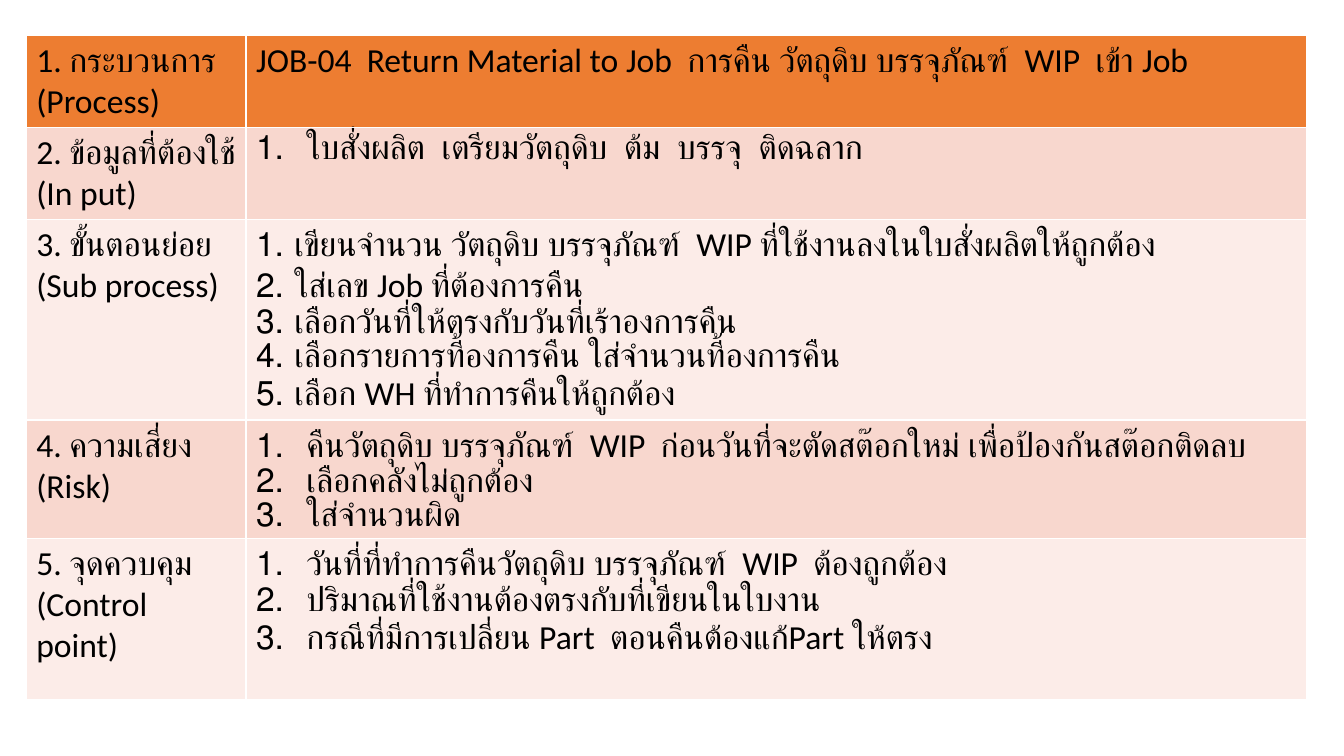
from pptx import Presentation, util as u
from pptx.dml.color import RGBColor
from pptx.oxml.ns import qn
from lxml import etree

PX = 9144
COLORS = {"header": "ED7D31", "odd": "F8D7CE", "even": "FCECE8", "border": "FFFFFF", "text": "000000"}
COLUMN_WIDTHS = [218, 1052]
ROW_HEIGHTS = [90, 91, 199, 117, 160]
WIDE, NARROW = 50, 38
PROCESS = [
    (["1. กระบวนการ (Process)"],
     ["JOB-04  Return Material to Job  การคืน วัตถุดิบ บรรจุภัณฑ์  WIP  เข้า Job"], 0),
    (["2. ข้อมูลที่ต้องใช้", "(In put)"],
     ["ใบสั่งผลิต  เตรียมวัตถุดิบ  ต้ม  บรรจุ  ติดฉลาก"], WIDE),
    (["3. ขั้นตอนย่อย", "(Sub process)"],
     ["เขียนจำนวน วัตถุดิบ บรรจุภัณฑ์  WIP ที่ใช้งานลงในใบสั่งผลิตให้ถูกต้อง",
      "ใส่เลข Job ที่ต้องการคืน",
      "เลือกวันที่ให้ตรงกับวันที่เร้าองการคืน",
      "เลือกรายการที้องการคืน ใส่จำนวนที้องการคืน",
      "เลือก WH ที่ทำการคืนให้ถูกต้อง"], NARROW),
    (["4. ความเสี่ยง", "(Risk)"],
     ["คืนวัตถุดิบ บรรจุภัณฑ์  WIP  ก่อนวันที่จะตัดสต๊อกใหม่ เพื่อป้องกันสต๊อกติดลบ",
      "เลือกคลังไม่ถูกต้อง",
      "ใส่จำนวนผิด"], WIDE),
    (["5. จุดควบคุม", "(Control point)"],
     ["วันที่ที่ทำการคืนวัตถุดิบ บรรจุภัณฑ์  WIP  ต้องถูกต้อง",
      "ปริมาณที่ใช้งานต้องตรงกับที่เขียนในใบงาน",
      "กรณีที่มีการเปลี่ยน Part  ตอนคืนต้องแก้Part ให้ตรง"], WIDE),
]


def px(length):
    """Turn pixels into EMU."""
    return u.Emu(length * PX)


def number_paragraph(paragraph, indent):
    """Give a paragraph an automatic number and a hanging indent."""
    properties = paragraph._p.get_or_add_pPr()
    properties.set("marL", str(px(indent)))
    properties.set("indent", str(px(-indent)))
    etree.SubElement(properties, qn("a:buFont"), typeface="+mj-lt")
    etree.SubElement(properties, qn("a:buAutoNum"), type="arabicPeriod")


def write_text(frame, lines, size=24, font="Calibri", color="text", indent=0):
    """Write lines as paragraphs, numbered when an indent is given."""
    for index, line in enumerate(lines):
        paragraph = frame.add_paragraph() if index else frame.paragraphs[0]
        if indent:
            number_paragraph(paragraph, indent)
        run = paragraph.add_run()
        run.text = line
        run.font.size = u.Pt(size)
        run.font.name = font
        run.font.bold = False
        run.font.color.rgb = RGBColor.from_string(COLORS[color])


def format_cell(cell, fill):
    """Draw the four borders of a cell and fill it."""
    properties = cell._tc.get_or_add_tcPr()
    for side in ("lnL", "lnR", "lnT", "lnB"):
        border = etree.SubElement(properties, qn(f"a:{side}"), w=str(u.Pt(1)))
        solid = etree.SubElement(border, qn("a:solidFill"))
        etree.SubElement(solid, qn("a:srgbClr"), val=COLORS["border"])
    cell.fill.solid()
    cell.fill.fore_color.rgb = RGBColor.from_string(COLORS[fill])


def add_process_table(slide, left, top):
    """Add the table of process steps."""
    table = slide.shapes.add_table(
        len(PROCESS), len(COLUMN_WIDTHS), px(left), px(top),
        px(sum(COLUMN_WIDTHS)), px(sum(ROW_HEIGHTS))).table
    table.horz_banding = False
    for column, width in zip(table.columns, COLUMN_WIDTHS):
        column.width = px(width)
    for index, (heading, details, indent) in enumerate(PROCESS):
        table.rows[index].height = px(ROW_HEIGHTS[index])
        fill = "header" if index == 0 else "odd" if index % 2 else "even"
        for column, (lines, hanging) in enumerate([(heading, 0), (details, indent)]):
            cell = table.cell(index, column)
            format_cell(cell, fill)
            write_text(cell.text_frame, lines, indent=hanging)


def main():
    """Build and save the slide."""
    deck = Presentation()
    deck.slide_width, deck.slide_height = px(1333), px(750)
    slide = deck.slides.add_slide(deck.slide_layouts[6])
    add_process_table(slide, 26, 35)
    deck.save("out.pptx")


if __name__ == "__main__":
    main()
